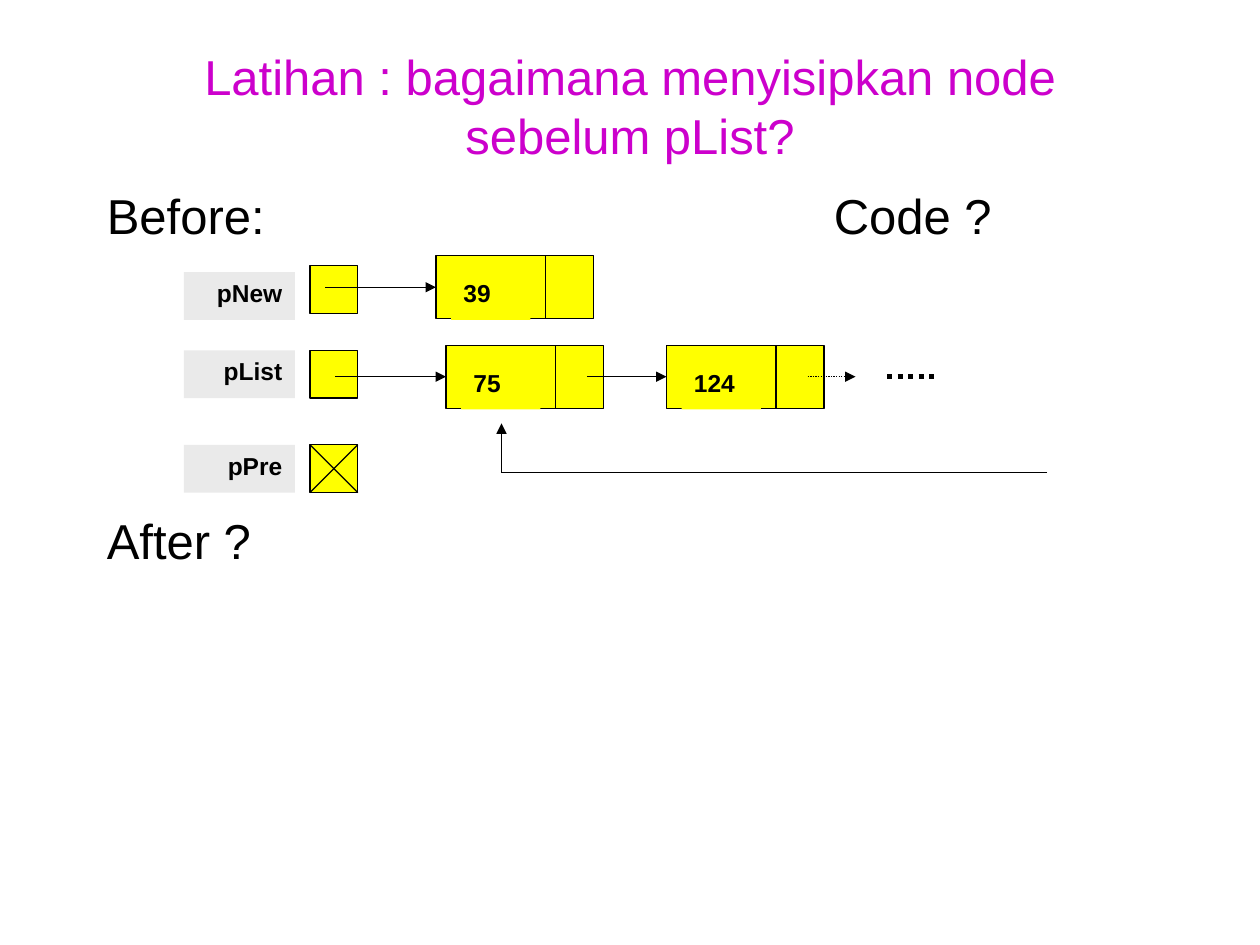
"""Build the linked-list insertion exercise slide."""
import pptx
import pptx.dml.color
import pptx.enum.dml
import pptx.enum.shapes
import pptx.enum.text
import pptx.oxml
import pptx.oxml.ns
import pptx.util

Inches = pptx.util.Inches
RGBColor = pptx.dml.color.RGBColor
Align = pptx.enum.text.PP_ALIGN
Anchor = pptx.enum.text.MSO_ANCHOR
Dash = pptx.enum.dml.MSO_LINE

BLACK = RGBColor(0x00, 0x00, 0x00)
YELLOW = RGBColor(0xFF, 0xFF, 0x00)
GRAY = RGBColor(0xEA, 0xEA, 0xEA)
MAGENTA = RGBColor(0xCC, 0x00, 0xCC)

HEADING = {"name": "Arial", "size": pptx.util.Pt(28), "bold": False}
LABEL = {"name": "Arial", "size": pptx.util.Pt(14), "bold": True}
CELL = 0.38
NODE_WIDTH, NODE_HEIGHT, DIVIDER = 1.25, 0.5, 0.87


def write(shape, text, font, color, align=Align.LEFT, anchor=Anchor.TOP):
    """Put one formatted paragraph into a shape."""
    frame = shape.text_frame
    frame.word_wrap = True
    frame.vertical_anchor = anchor
    paragraph = frame.paragraphs[0]
    paragraph.alignment = align
    run = paragraph.add_run()
    run.text = text
    for attribute, value in font.items():
        setattr(run.font, attribute, value)
    run.font.color.rgb = color


def add_heading(slide, text, box, color=BLACK, **placement):
    """Add a large text box."""
    shape = slide.shapes.add_textbox(*map(Inches, box))
    write(shape, text, HEADING, color, **placement)


def add_box(slide, box, fill, outlined=True):
    """Add a filled rectangle, with or without an outline."""
    kind = pptx.enum.shapes.MSO_SHAPE.RECTANGLE
    shape = slide.shapes.add_shape(kind, *map(Inches, box))
    shape.shadow.inherit = False
    shape.fill.solid()
    shape.fill.fore_color.rgb = fill
    if outlined:
        shape.line.color.rgb = BLACK
        shape.line.width = pptx.util.Pt(0.75)
    else:
        shape.line.fill.background()
    return shape


def add_line(slide, start, end, arrow=False, width=0.75, dash=None, target=None):
    """Add a straight line, optionally joined to the left side of a target."""
    kind = pptx.enum.shapes.MSO_CONNECTOR.STRAIGHT
    line = slide.shapes.add_connector(kind, *map(Inches, start + end))
    line.line.color.rgb = BLACK
    line.line.width = pptx.util.Pt(width)
    if dash is not None:
        line.line.dash_style = dash
    if arrow:
        outline = line.line._get_or_add_ln()
        namespace = pptx.oxml.ns.nsdecls("a")
        outline.append(pptx.oxml.parse_xml(f'<a:tailEnd {namespace} type="triangle"/>'))
    properties = line._element.spPr
    properties.append(properties.makeelement(pptx.oxml.ns.qn("a:effectLst"), {}))
    if target is not None:
        line.end_connect(target, 1)


def add_pointer(slide, name, label_top, cell_top):
    """Add a pointer name beside its cell."""
    label = add_box(slide, (1.46, label_top, 0.88, CELL), GRAY, outlined=False)
    write(label, name, LABEL, BLACK, Align.RIGHT)
    add_box(slide, (2.46, cell_top, CELL, CELL), YELLOW)


def add_node(slide, value, left, top):
    """Add a list node with its value and its next field."""
    node = add_box(slide, (left, top, NODE_WIDTH, NODE_HEIGHT), YELLOW)
    divider = left + DIVIDER
    add_line(slide, (divider, top), (divider, top + NODE_HEIGHT))
    field = add_box(slide, (left + 0.12, top + 0.13, 0.63, CELL), YELLOW, outlined=False)
    write(field, value, LABEL, BLACK)
    return node


def main():
    """Create the presentation and save it."""
    presentation = pptx.Presentation()
    presentation.slide_width = Inches(10)
    presentation.slide_height = Inches(7.5)
    slide = presentation.slides.add_slide(presentation.slide_layouts[6])

    add_heading(slide, "Latihan : bagaimana menyisipkan node sebelum pList?",
                (0.75, 0.42, 8.5, 0.83), MAGENTA, align=Align.CENTER, anchor=Anchor.MIDDLE)
    for text, left, top in (("Before:", 0.75, 1.42), ("Code ?", 6.52, 1.42),
                            ("After ?", 0.75, 4.0)):
        add_heading(slide, text, (left, top, 2.5, 0.55))

    for name, label_top, cell_top in (("pNew", 2.16, 2.11), ("pList", 2.78, 2.78),
                                      ("pPre", 3.53, 3.53)):
        add_pointer(slide, name, label_top, cell_top)
    add_line(slide, (2.46, 3.53), (2.84, 3.91))
    add_line(slide, (2.84, 3.53), (2.46, 3.91))

    new_node = add_node(slide, "39", 3.46, 2.03)
    first_node = add_node(slide, "75", 3.54, 2.74)
    second_node = add_node(slide, "124", 5.29, 2.74)

    for start, end, target in (((2.58, 2.28), (3.46, 2.28), new_node),
                               ((2.66, 2.99), (3.54, 2.99), first_node),
                               ((4.66, 2.99), (5.29, 2.99), second_node)):
        add_line(slide, start, end, arrow=True, target=target)
    add_line(slide, (6.41, 2.99), (6.79, 2.99), arrow=True, dash=Dash.ROUND_DOT)
    add_line(slide, (7.04, 2.99), (7.41, 2.99), width=3, dash=Dash.ROUND_DOT)
    add_line(slide, (8.31, 3.75), (3.98, 3.75))
    add_line(slide, (3.98, 3.75), (3.98, 3.36), arrow=True)

    presentation.save("out.pptx")


if __name__ == "__main__":
    main()
